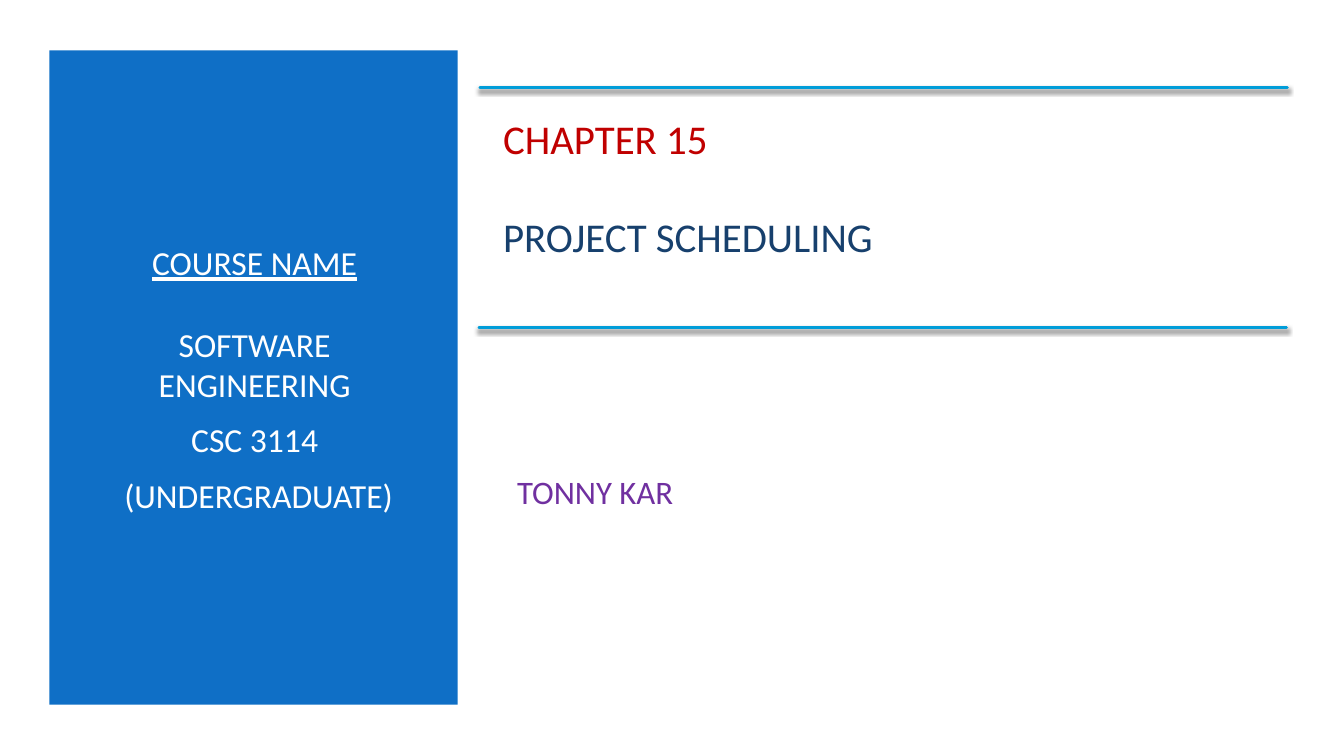
"""Build the title slide for the project scheduling chapter."""
import lxml.etree
import pptx
import pptx.dml.color
import pptx.enum.shapes
import pptx.enum.text
import pptx.oxml
import pptx.oxml.ns
import pptx.util

Inches, Pt = pptx.util.Inches, pptx.util.Pt
ALIGN = pptx.enum.text.PP_ALIGN

THEME = {
    "font": "Calibri",
    "panel": "0F6FC6", "rule": "009DD9", "shadow": "000000",
    "course": "FFFFFF", "chapter": "C00000", "topic": "17406D", "author": "7030A0",
    "course_size": 24, "title_size": 29.2, "author_size": 23.4,
}

COURSE = [
    {"text": "COURSE NAME", "color": "course", "underline": True, "after": 6},
    {"text": "SOFTWARE ENGINEERING", "color": "course", "before": 23.3, "after": 6},
    {"text": "CSC 3114", "color": "course", "before": 4.8, "after": 6},
    {"text": "(UNDERGRADUATE)", "color": "course", "before": 4.8, "indent": 0.08},
]
TITLE = [
    {"text": "CHAPTER 15", "color": "chapter"},
    {"text": "PROJECT SCHEDULING", "color": "topic", "before": 35},
]
AUTHOR = [{"text": "TONNY KAR", "color": "author"}]

PANEL = (0.49, 0.5, 4.05, 6.49)
COURSE_BOX = (0.84, 1.13, 3.37, 5.25)
TITLE_BOX = (4.89, 1.1, 7.85, 1.51)
AUTHOR_BOX = (5.03, 4.1, 6.66, 1.56)
RULES = [(4.76, 0.87), (4.75, 3.25)]
RULE_LENGTH = 8.01

SHADOW = (
    f'<a:effectLst {pptx.oxml.ns.nsdecls("a")}>'
    f'<a:outerShdw blurRad="{Pt(3)}" dist="{Pt(2)}" dir="5400000" rotWithShape="0">'
    f'<a:srgbClr val="{THEME["shadow"]}"><a:alpha val="55000"/></a:srgbClr>'
    '</a:outerShdw></a:effectLst>'
)


def rgb(name):
    """Return a theme colour."""
    return pptx.dml.color.RGBColor.from_string(THEME[name])


def apply(target, values):
    """Set each attribute in a dict of format values."""
    for name, value in values.items():
        setattr(target, name, value)


def place(sp, box):
    """Move and size a shape in inches."""
    apply(sp, dict(zip(("left", "top", "width", "height"), map(Inches, box))))


def write(sp, box, lines, size, align):
    """Place a text shape and fill it with formatted paragraphs."""
    place(sp, box)
    tf = sp.text_frame
    apply(tf, {"word_wrap": True, "auto_size": pptx.enum.text.MSO_AUTO_SIZE.NONE,
               "vertical_anchor": pptx.enum.text.MSO_ANCHOR.MIDDLE})
    for i, line in enumerate(lines):
        p = tf.add_paragraph() if i else tf.paragraphs[0]
        if "indent" in line:
            p._p.get_or_add_pPr().set("marL", str(Inches(line["indent"])))
        apply(p, {"alignment": align, "space_before": Pt(line.get("before", 0)),
                  "space_after": Pt(line.get("after", 0))})
        r = p.add_run()
        r.text = line["text"]
        apply(r.font, {"name": THEME["font"], "size": Pt(THEME[size]),
                       "underline": line.get("underline", False)})
        r.font.color.rgb = rgb(line["color"])


def add_rule(s, left, top):
    """Draw one shadowed horizontal rule."""
    rule = s.shapes.add_connector(
        pptx.enum.shapes.MSO_CONNECTOR.STRAIGHT,
        Inches(left), Inches(top), Inches(left + RULE_LENGTH), Inches(top))
    rule.line.color.rgb = rgb("rule")
    rule.line.width = Pt(2)
    ln = rule.line._get_or_add_ln()
    ln.set("cap", "rnd")
    ln.addnext(pptx.oxml.parse_xml(SHADOW))


def main():
    """Assemble and save the slide."""
    prs = pptx.Presentation()
    apply(prs, {"slide_width": Inches(13.33), "slide_height": Inches(7.5)})
    s = prs.slides.add_slide(prs.slide_layouts[0])
    title, course = s.shapes.title, s.placeholders[1]

    panel = s.shapes.add_shape(pptx.enum.shapes.MSO_SHAPE.RECTANGLE, *map(Inches, PANEL))
    panel.shadow.inherit = False
    panel.fill.solid()
    panel.fill.fore_color.rgb = rgb("panel")
    panel.line.fill.background()
    title.element.addprevious(panel.element)

    write(course, COURSE_BOX, COURSE, "course_size", ALIGN.CENTER)
    write(title, TITLE_BOX, TITLE, "title_size", ALIGN.LEFT)
    author = s.shapes.add_textbox(*map(Inches, AUTHOR_BOX))
    write(author, AUTHOR_BOX, AUTHOR, "author_size", ALIGN.LEFT)
    for left, top in RULES:
        add_rule(s, left, top)
    prs.save("out.pptx")


if __name__ == "__main__":
    main()
